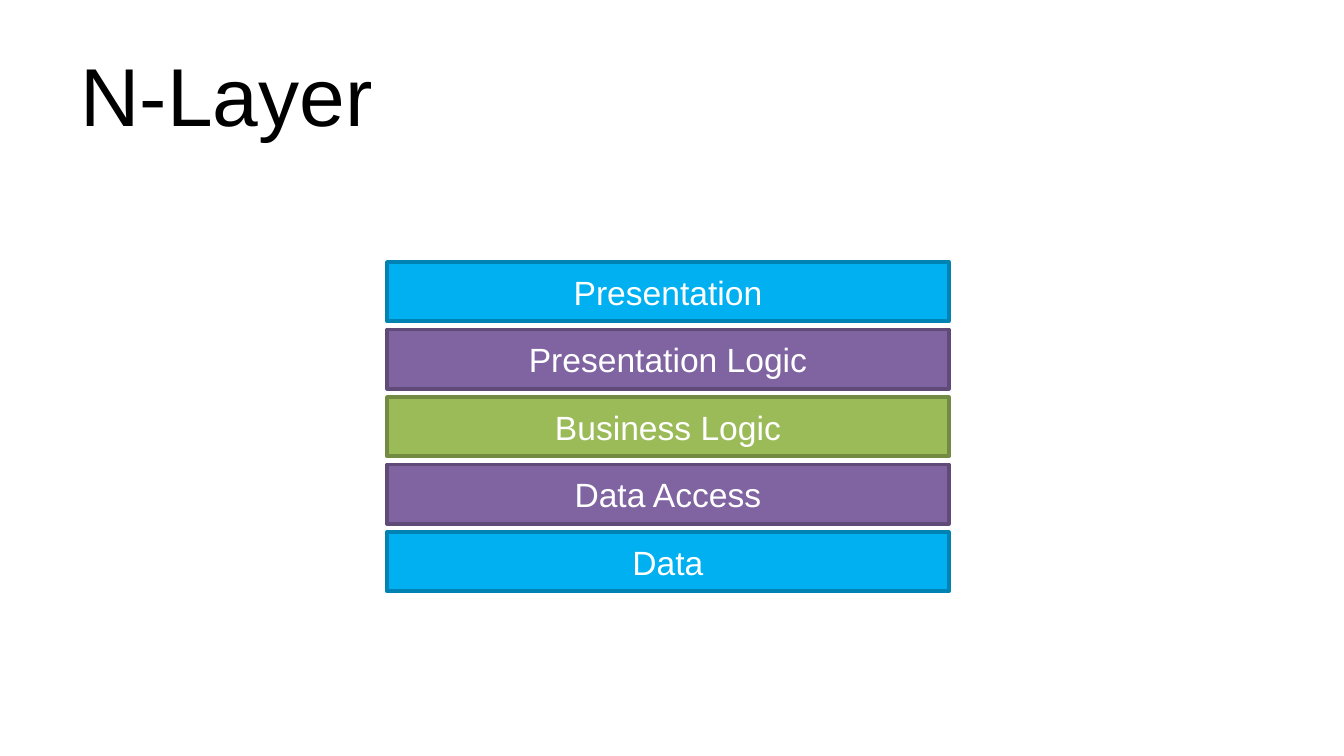
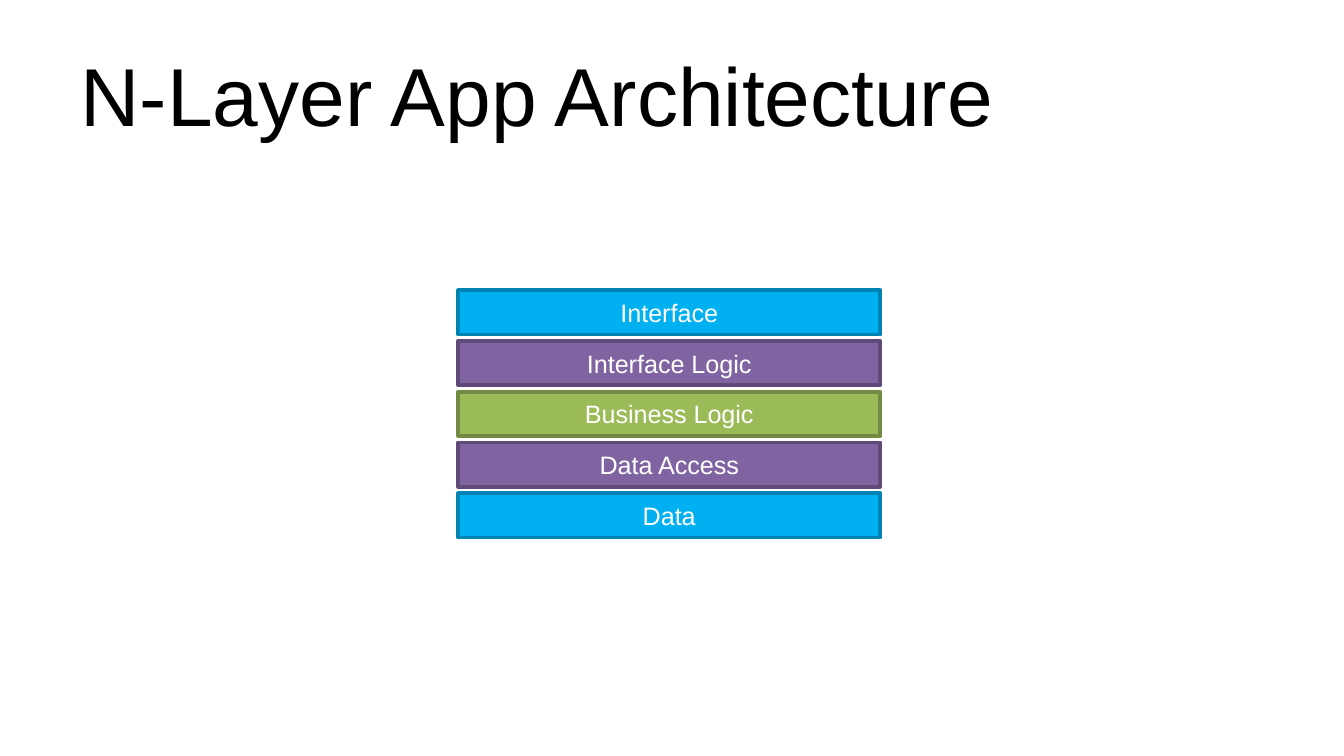
from pptx import Presentation
from pptx import util as u
from pptx.dml.color import RGBColor
from pptx.enum import shapes, text

FONT = "Arial"
BLACK = RGBColor(0x00, 0x00, 0x00)
WHITE = RGBColor(0xFF, 0xFF, 0xFF)
BLUE = (RGBColor(0x00, 0xB0, 0xF0), RGBColor(0x00, 0x82, 0xB2))
PURPLE = (RGBColor(0x80, 0x64, 0xA2), RGBColor(0x5F, 0x4A, 0x78))
GREEN = (RGBColor(0x9B, 0xBB, 0x59), RGBColor(0x73, 0x8A, 0x42))
LAYER_COLORS = (BLUE, PURPLE, GREEN, PURPLE, BLUE)


def write(shape, content, size, color, align, margins=(0.1, 0.05), wrap=True):
    """Put one formatted paragraph, vertically centred, into a shape."""
    frame = shape.text_frame
    frame.word_wrap = wrap
    frame.vertical_anchor = text.MSO_ANCHOR.MIDDLE
    frame.margin_left = frame.margin_right = u.Inches(margins[0])
    frame.margin_top = frame.margin_bottom = u.Inches(margins[1])
    paragraph = frame.paragraphs[0]
    paragraph.alignment = align
    run = paragraph.add_run()
    run.text = content
    run.font.name = FONT
    run.font.size = u.Pt(size)
    run.font.color.rgb = color


class LayerDeck:
    """Holds the presentation style and the current slide."""

    def __init__(self):
        """Start an empty 16:9 presentation."""
        self.presentation = Presentation()
        self.presentation.slide_width = u.Inches(10)
        self.presentation.slide_height = u.Inches(10 * 9 / 16)
        self.slide = None

    def add_slide(self, title):
        """Add a blank slide with its title."""
        self.slide = self.presentation.slides.add_slide(self.presentation.slide_layouts[6])
        box = self.slide.shapes.add_textbox(
            u.Inches(0.5), u.Inches(0.23), u.Inches(9), u.Inches(0.94))
        write(box, title, size=44, color=BLACK, align=text.PP_ALIGN.LEFT)

    def add_layer(self, label, colors, left, top, width, height, size, margins):
        """Add one outlined bar with a centred label."""
        shape = self.slide.shapes.add_shape(
            shapes.MSO_SHAPE.RECTANGLE,
            u.Inches(left), u.Inches(top), u.Inches(width), u.Inches(height))
        shape.shadow.inherit = False
        fill_color, line_color = colors
        shape.fill.solid()
        shape.fill.fore_color.rgb = fill_color
        shape.line.color.rgb = line_color
        shape.line.width = u.Pt(2)
        write(shape, label, size=size, color=WHITE, align=text.PP_ALIGN.CENTER,
              margins=margins, wrap=False)

    def add_stack(self, labels, first_top, last_top, **bar_format):
        """Add evenly spaced layers from top to bottom."""
        step = (last_top - first_top) / (len(labels) - 1)
        for index, (label, colors) in enumerate(zip(labels, LAYER_COLORS)):
            self.add_layer(label, colors, top=first_top + index * step, **bar_format)


def main():
    """Build both layer slides and save them."""
    deck = LayerDeck()
    deck.add_slide("N-Layer")
    deck.add_stack(
        ("Presentation", "Presentation Logic", "Business Logic", "Data Access", "Data"),
        first_top=1.95, last_top=3.96, left=2.88, width=4.18, height=0.44,
        size=18, margins=(0.07, 0.04))
    deck.add_slide("N-Layer App Architecture")
    deck.add_stack(
        ("Interface", "Interface Logic", "Business Logic", "Data Access", "Data"),
        first_top=2.16, last_top=3.67, left=3.41, width=3.14, height=0.33,
        size=13.5, margins=(0.06, 0.03))
    deck.presentation.save("out.pptx")


if __name__ == "__main__":
    main()
